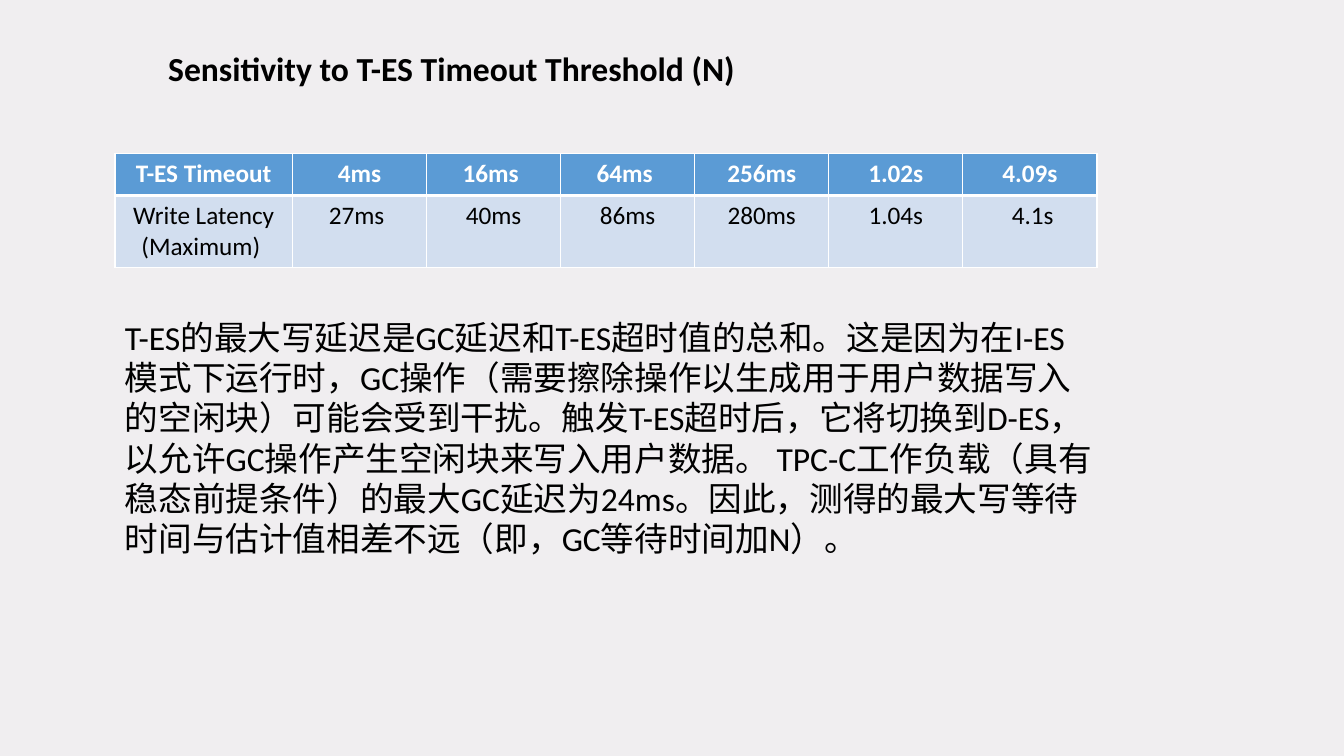
from lxml import etree
from pptx import Presentation
from pptx.dml.color import RGBColor
from pptx.enum.text import MSO_AUTO_SIZE, PP_ALIGN as Align
from pptx.oxml.ns import qn
from pptx.util import Inches, Pt

FONT = "Calibri"
BLACK, WHITE = "000000", "FFFFFF"
HEADER_FILL, BODY_FILL, BACKGROUND = "5B9BD5", "D2DEEF", "F0EEF0"

TITLE = "Sensitivity to T-ES Timeout Threshold (N)"
EXPLANATION = (
    "T-ES的最大写延迟是GC延迟和T-ES超时值的总和。这是因为在I-ES模式下运行时，"
    "GC操作（需要擦除操作以生成用于用户数据写入的空闲块）可能会受到干扰。"
    "触发T-ES超时后，它将切换到D-ES，以允许GC操作产生空闲块来写入用户数据。 "
    "TPC-C工作负载（具有稳态前提条件）的最大GC延迟为24ms。"
    "因此，测得的最大写等待时间与估计值相差不远（即，GC等待时间加N）。"
)
LATENCY_ROWS = [
    ["T-ES Timeout", "4ms", "16ms ", "64ms ", "256ms", "1.02s", "4.09s"],
    ["Write Latency\n(Maximum) ", "27ms ", "40ms", "86ms", "280ms", "1.04s", " 4.1s"],
]
ROW_HEIGHTS = [0.42, 0.7]
LABEL_WIDTH, VALUE_WIDTH = 1.76, 1.33


def rgb(value):
    return RGBColor.from_string(value)


def set_font(paragraph, size, color, bold=False):
    font = paragraph.font
    font.name, font.size, font.bold = FONT, Pt(size), bold
    font.color.rgb = rgb(color)


def add_text(slide, text, left, top, width, height, bold=False):
    box = slide.shapes.add_textbox(
        Inches(left), Inches(top), Inches(width), Inches(height))
    frame = box.text_frame
    frame.word_wrap = True
    frame.auto_size = MSO_AUTO_SIZE.SHAPE_TO_FIT_TEXT
    frame.text = text
    set_font(frame.paragraphs[0], 24, BLACK, bold)


def add_borders(cell, widths):
    """Draw white cell borders; widths maps each side to points."""
    properties = cell._tc.get_or_add_tcPr()
    for position, (side, width) in enumerate(widths.items()):
        line = etree.Element(qn(f"a:ln{side}"), w=str(Pt(width)))
        fill = etree.SubElement(line, qn("a:solidFill"))
        etree.SubElement(fill, qn("a:srgbClr"), val=WHITE)
        properties.insert(position, line)


def style_cell(cell, text, is_header):
    cell.text = text
    for paragraph in cell.text_frame.paragraphs:
        paragraph.alignment = Align.CENTER
        set_font(paragraph, 18, WHITE if is_header else BLACK, is_header)
    cell.fill.solid()
    cell.fill.fore_color.rgb = rgb(HEADER_FILL if is_header else BODY_FILL)
    top, bottom = (1, 3) if is_header else (3, 1)
    add_borders(cell, {"L": 1, "R": 1, "T": top, "B": bottom})


def add_latency_table(slide, left, top):
    column_count = len(LATENCY_ROWS[0])
    widths = [LABEL_WIDTH] + [VALUE_WIDTH] * (column_count - 1)
    table = slide.shapes.add_table(
        len(LATENCY_ROWS), column_count, Inches(left), Inches(top),
        Inches(sum(widths)), Inches(sum(ROW_HEIGHTS))).table
    for column, width in zip(table.columns, widths):
        column.width = Inches(width)
    for row_index, texts in enumerate(LATENCY_ROWS):
        table.rows[row_index].height = Inches(ROW_HEIGHTS[row_index])
        for column_index, text in enumerate(texts):
            style_cell(table.cell(row_index, column_index), text, row_index == 0)


def main():
    deck = Presentation()
    deck.slide_width, deck.slide_height = Inches(13.33), Inches(7.5)
    slide = deck.slides.add_slide(deck.slide_layouts[6])
    slide.background.fill.solid()
    slide.background.fill.fore_color.rgb = rgb(BACKGROUND)
    add_latency_table(slide, 1.14, 1.52)
    add_text(slide, EXPLANATION, 1.14, 3.09, 9.79, 2.52)
    add_text(slide, TITLE, 1.57, 0.43, 6.14, 0.5, bold=True)
    deck.save("out.pptx")


if __name__ == "__main__":
    main()
